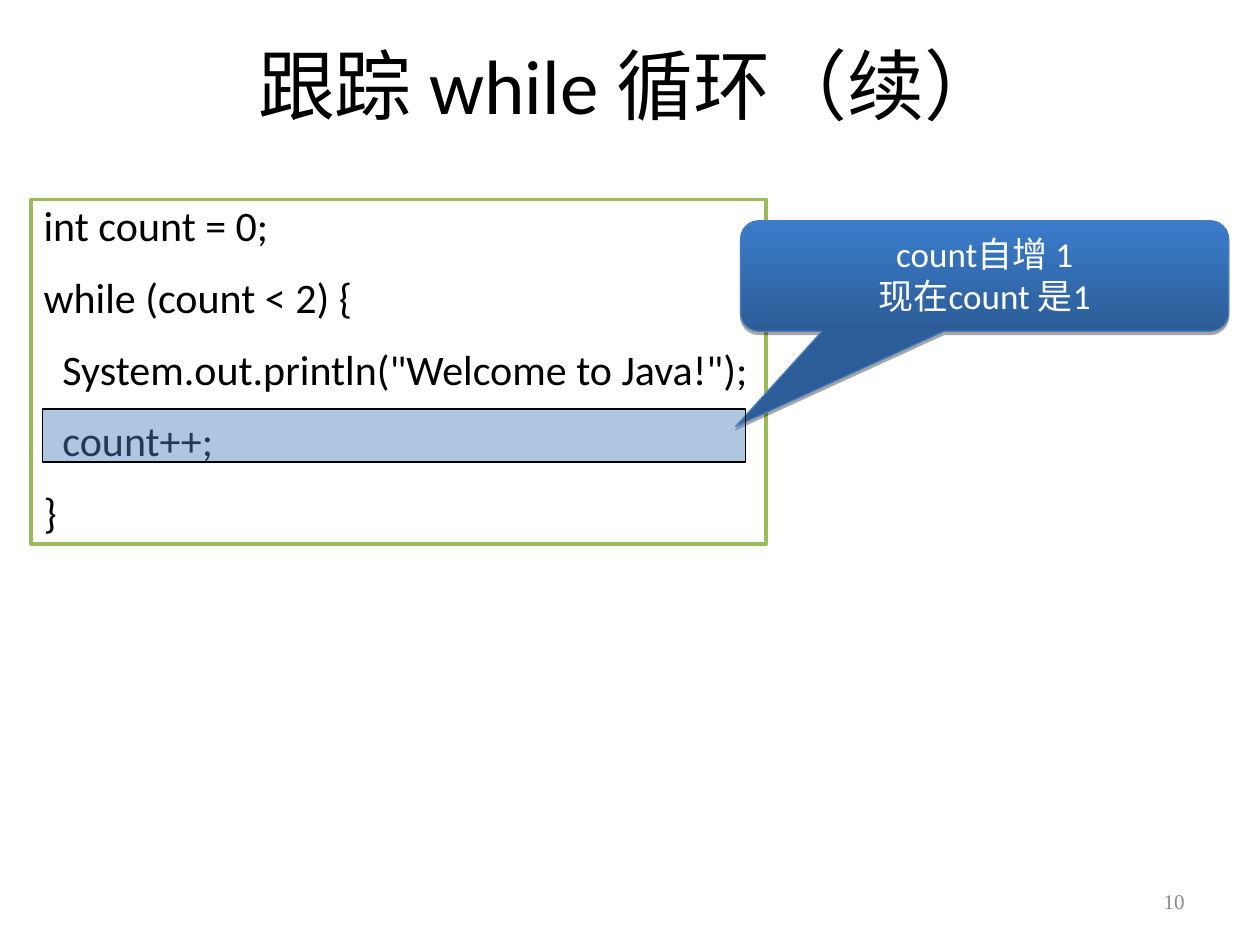
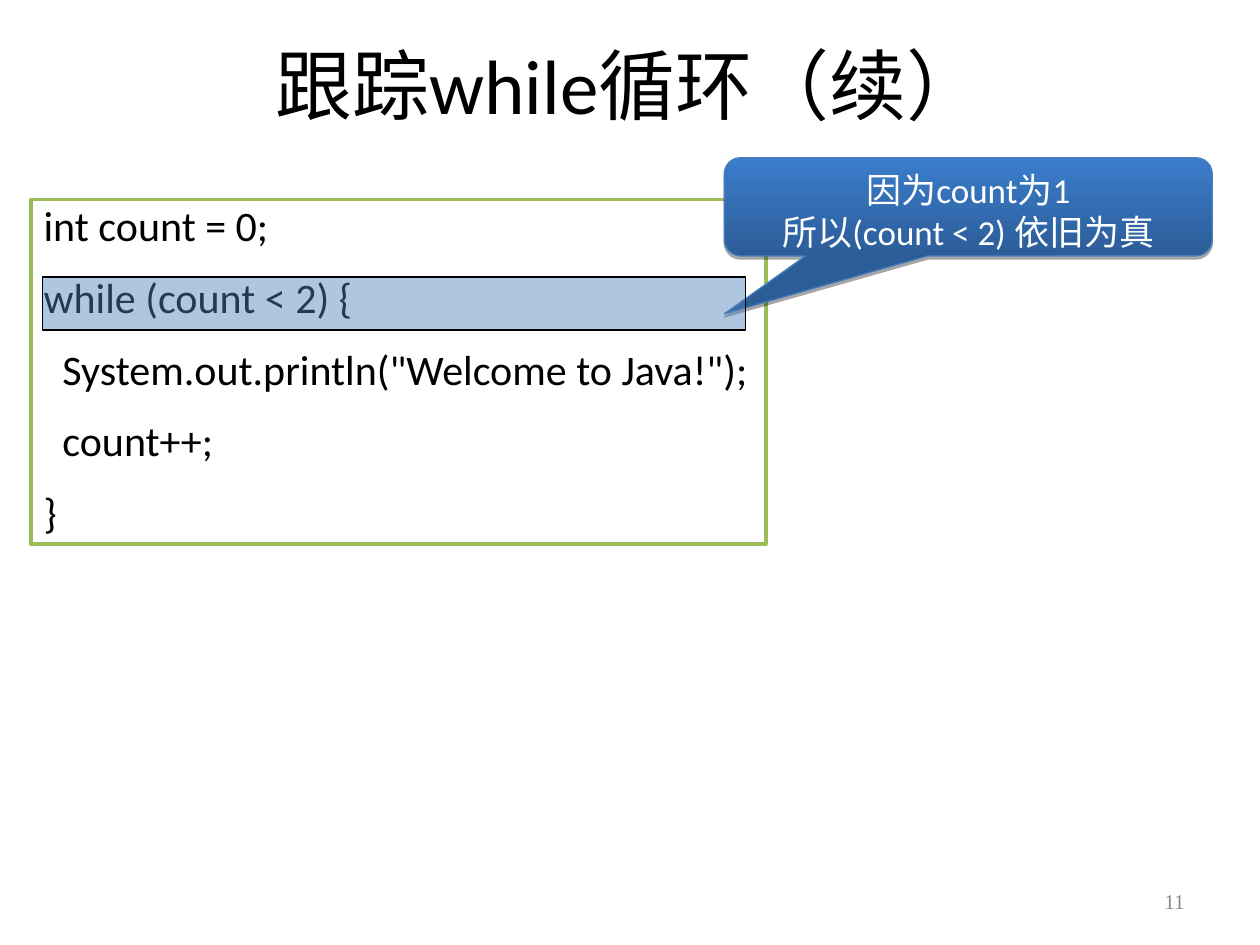
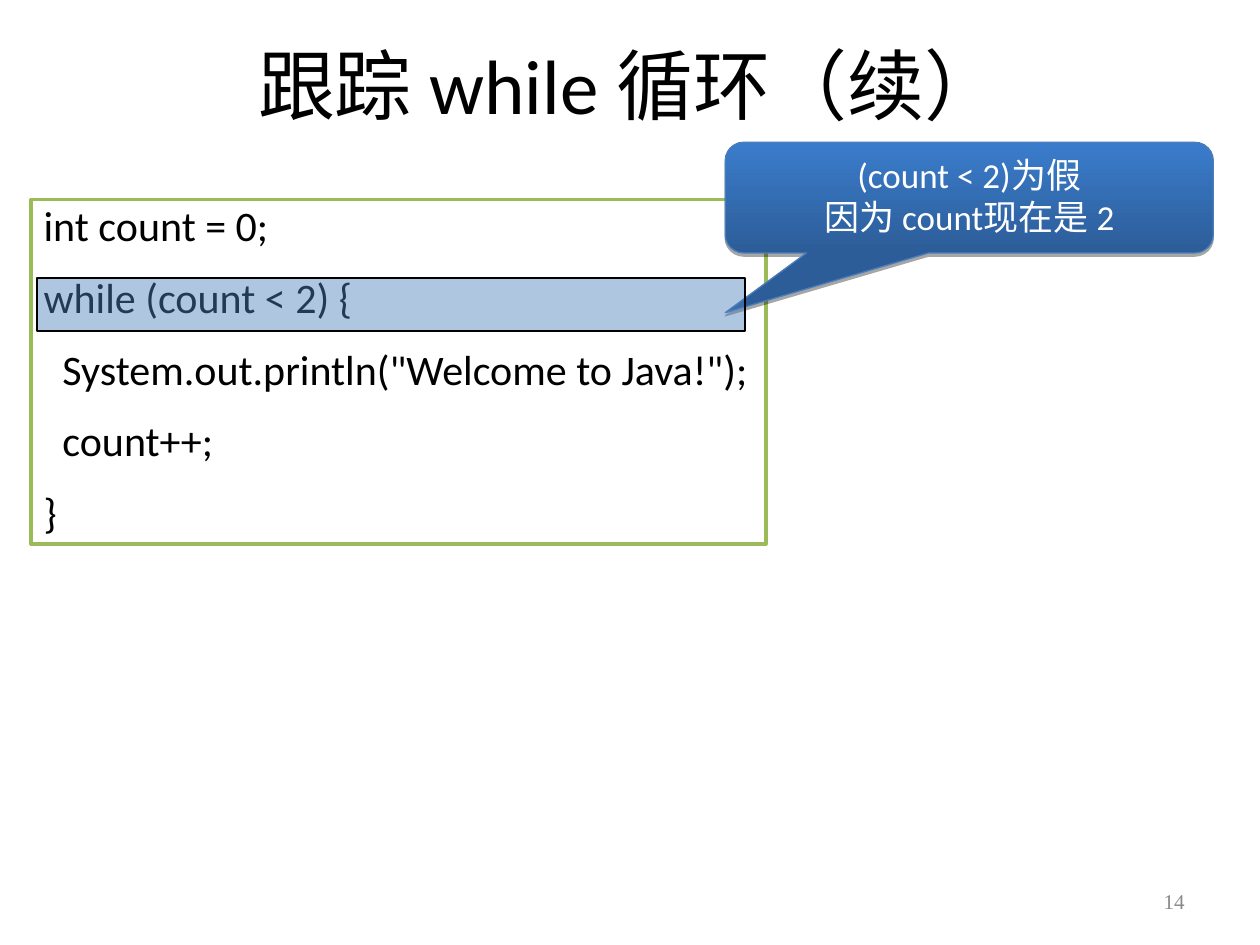
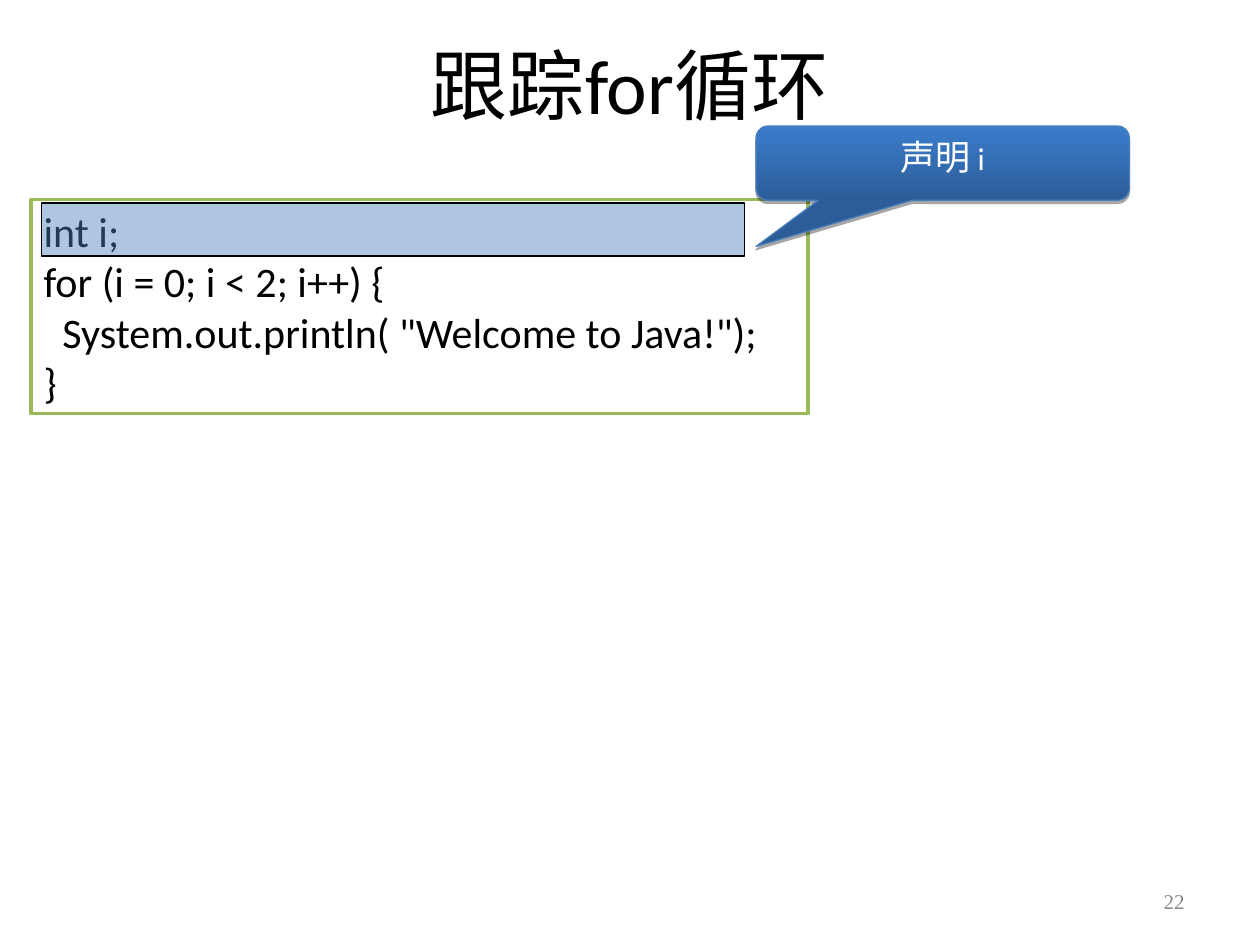
from dataclasses import dataclass

from lxml.etree import SubElement
from pptx import Presentation
from pptx.dml.color import RGBColor
from pptx.enum.shapes import MSO_SHAPE as Preset
from pptx.enum.text import MSO_ANCHOR as Anchor, MSO_AUTO_SIZE as AutoSize, PP_ALIGN as Align
from pptx.oxml.ns import qn
from pptx.util import Cm, Pt

# Shared look
BLACK = RGBColor(0x00, 0x00, 0x00)
WHITE = RGBColor(0xFF, 0xFF, 0xFF)
GREY = RGBColor(0x89, 0x89, 0x89)
GREEN = RGBColor(0x9B, 0xBB, 0x59)
BLUE = RGBColor(0x4F, 0x81, 0xBD)
CALLOUT_BOTTOM = RGBColor(0x2C, 0x5D, 0x98)
CALLOUT_TOP = RGBColor(0x3A, 0x7C, 0xCB)
CALLOUT_EDGE = RGBColor(0x4A, 0x7E, 0xBB)
MAIN_FONT = "Calibri"
NUMBER_FONT = "Times New Roman"
CODE_INDENT = Cm(0.38)


@dataclass
class Box:
    """A region in centimetres."""
    left: float
    top: float
    width: float
    height: float

    def lengths(self):
        return Cm(self.left), Cm(self.top), Cm(self.width), Cm(self.height)

    def inner(self, dx, dy, width, height):
        return Box(self.left + dx, self.top + dy, width, height)


TITLE_BOX = Box(1.9, 0.63, 21.59, 2.12)
NUMBER_BOX = Box(18.21, 17.65, 5.92, 1.02)
WHILE_BOX = Box(0.63, 4.02, 14.81, 6.95)
FOR_BOX = Box(0.63, 4.02, 15.66, 4.32)

# Each code line is (indent level, text)
WHILE_CODE = [
    (0, "int count = 0;"),
    (0, "while (count < 2) {"),
    (1, 'System.out.println("Welcome to Java!");'),
    (1, "count++;"),
    (0, "}"),
]
FOR_CODE = [
    (0, "int i;"),
    (0, "for (i = 0; i < 2; i++) {"),
    (1, 'System.out.println( "Welcome to Java!");'),
    (0, "}"),
]


def style_text(paragraph, size, color, align, font=MAIN_FONT):
    paragraph.alignment = align
    for run in paragraph.runs:
        run.font.size = Pt(size)
        run.font.name = font
        run.font.color.rgb = color


def add_preset(slide, preset, box, edge, edge_width):
    shape = slide.shapes.add_shape(preset, *box.lengths())
    shape.shadow.inherit = False
    shape.line.color.rgb = edge
    shape.line.width = Pt(edge_width)
    shape.text_frame.vertical_anchor = Anchor.TOP
    return shape


def add_heading(slide, box, text):
    title = slide.shapes.title
    title.left, title.top, title.width, title.height = box.lengths()
    frame = title.text_frame
    frame.text = text
    frame.vertical_anchor = Anchor.MIDDLE
    style_text(frame.paragraphs[0], 44, BLACK, Align.CENTER)


def add_page_number(slide, box, number):
    frame = slide.shapes.add_textbox(*box.lengths()).text_frame
    frame.word_wrap = True
    frame.vertical_anchor = Anchor.MIDDLE
    frame.text = str(number)
    style_text(frame.paragraphs[0], 12, GREY, Align.RIGHT, NUMBER_FONT)


def add_code(slide, box, code, spaced):
    listing = add_preset(slide, Preset.RECTANGLE, box, GREEN, 2)
    listing.fill.solid()
    listing.fill.fore_color.rgb = WHITE
    frame = listing.text_frame
    frame.word_wrap = True
    frame.auto_size = AutoSize.SHAPE_TO_FIT_TEXT
    frame.text = "\n".join(text for _, text in code)
    for (level, _), line in zip(code, frame.paragraphs):
        style_text(line, 24, BLACK, Align.LEFT)
        if spaced:
            line.line_spacing = 0.9
            line.space_before = Pt(15)
        if level:
            line._p.get_or_add_pPr().set("marL", str(level * CODE_INDENT))


def add_drop_shadow(shape):
    effects = shape._element.spPr.find(qn("a:effectLst"))
    shadow = SubElement(effects, qn("a:outerShdw"), blurRad="0", dist=str(Pt(1.8)),
                        dir="5400000", rotWithShape="0")
    color = SubElement(shadow, qn("a:srgbClr"), val=str(BLACK))
    SubElement(color, qn("a:alpha"), val="35000")


def add_callout(slide, box, text, tip):
    """tip is the pointer's end, as a share of the box from its centre."""
    callout = add_preset(slide, Preset.ROUNDED_RECTANGULAR_CALLOUT, box, CALLOUT_EDGE, 0.75)
    callout.adjustments[0], callout.adjustments[1] = tip
    callout.fill.gradient()
    callout.fill.gradient_angle = 90
    for stop, color in zip(callout.fill.gradient_stops, (CALLOUT_BOTTOM, CALLOUT_TOP)):
        stop.color.rgb = color
    add_drop_shadow(callout)
    callout.text_frame.word_wrap = True
    callout.text_frame.text = text
    for line in callout.text_frame.paragraphs:
        style_text(line, 20, WHITE, Align.CENTER)
    return callout


def add_highlight(slide, box):
    band = add_preset(slide, Preset.RECTANGLE, box, BLACK, 1)
    band.fill.solid()
    band.fill.fore_color.rgb = BLUE
    color = band._element.spPr.find(qn("a:solidFill"))[0]
    SubElement(color, qn("a:alpha"), val="45000")


def add_trace_slide(deck, title, number, code_box, code, highlight, callout_box, note, tip):
    """highlight is (dx, dy, width) relative to the code box."""
    slide = deck.slides.add_slide(deck.slide_layouts[5])
    add_heading(slide, TITLE_BOX, title)
    add_page_number(slide, NUMBER_BOX, number)
    add_code(slide, code_box, code, spaced=code is WHILE_CODE)
    callout = add_callout(slide, callout_box, note, tip)
    dx, dy, width = highlight
    add_highlight(slide, code_box.inner(dx, dy, width, 1.07))
    return callout


def main():
    deck = Presentation()
    deck.slide_width, deck.slide_height = Cm(25.4), Cm(19.05)

    # while loop
    while_steps = [
        ("跟踪 while 循环（续）", 10, (0.23, 4.23, 14.17), Box(14.93, 4.45, 9.84, 2.23),
         "count自增 1\n现在count 是1", (-0.51, 1.36)),
        ("跟踪while循环（续）", 11, (0.23, 1.56, 14.17), Box(14.6, 3.18, 9.84, 1.98),
         "因为count为1\n所以(count < 2) 依旧为真", (-0.5, 1.09)),
        ("跟踪 while 循环（续）", 14, (0.11, 1.59, 14.28), Box(14.62, 2.87, 9.84, 2.23),
         "(count < 2)为假\n因为 count现在是 2", (-0.5, 1.04)),
    ]
    for title, number, highlight, callout_box, note, tip in while_steps:
        add_trace_slide(deck, title, number, WHILE_BOX, WHILE_CODE,
                        highlight, callout_box, note, tip)

    # for loop, with the variable set a little smaller
    declaration = add_trace_slide(deck, "跟踪for循环", 22, FOR_BOX, FOR_CODE,
                                  (0.21, 0.07, 14.17), Box(15.24, 2.54, 7.53, 1.5),
                                  "声明", (-0.5, 1.12))
    line = declaration.text_frame.paragraphs[0]
    variable = line.add_run()
    variable.text = " i"
    style_text(line, 20, WHITE, Align.CENTER)
    variable.font.size = Pt(18)

    deck.save("out.pptx")


if __name__ == "__main__":
    main()
